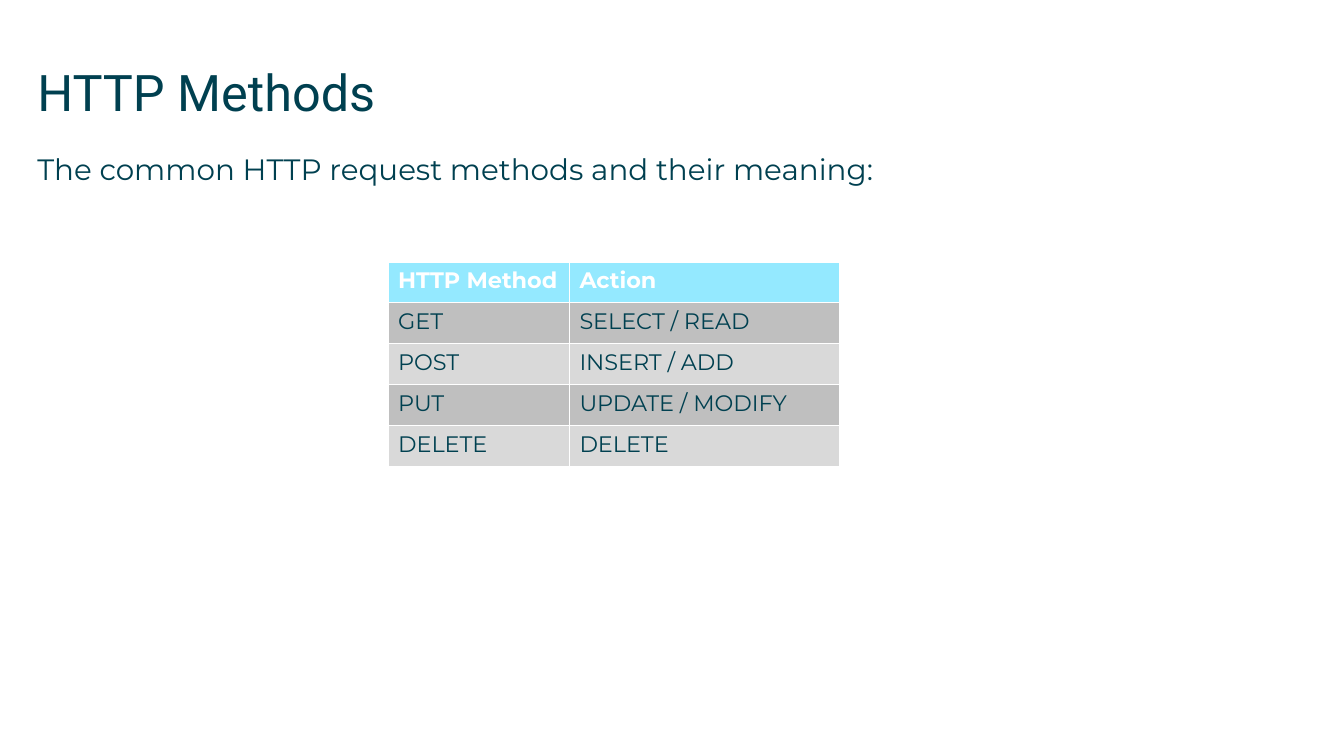
"""Build the HTTP Methods slide with its table of request methods."""
from pptx import Presentation
from pptx.dml.color import RGBColor as Rgb
from pptx.enum.text import MSO_ANCHOR as Anchor, MSO_AUTO_SIZE as AutoSize, PP_ALIGN as Align
from pptx.oxml.xmlchemy import OxmlElement as Element
from pptx.util import Cm, Pt

COLORS = {
    "ink": "004050",
    "white": "FFFFFF",
    "header": "94E9FF",
    "odd": "BFBFBF",
    "even": "D9D9D9",
}
ROWS = [
    ("HTTP Method", "Action"),
    ("GET", "SELECT / READ"),
    ("POST", "INSERT / ADD"),
    ("PUT", "UPDATE / MODIFY"),
    ("DELETE", "DELETE"),
]
COLUMN_WIDTHS = (4.57, 6.81)
ROW_HEIGHT = 1.03
FRAME_FORMAT = {
    "margin_left": 0,
    "margin_top": 0,
    "margin_right": 0,
    "margin_bottom": 0,
    "word_wrap": True,
    "auto_size": AutoSize.NONE,
    "vertical_anchor": Anchor.TOP,
}


def set_attributes(target, values):
    for name, value in values.items():
        setattr(target, name, value)


def write_text(para, text, color, **font_format):
    para.text = text
    set_attributes(para.runs[0].font, font_format)
    para.runs[0].font.color.rgb = Rgb.from_string(COLORS[color])


deck = Presentation()
set_attributes(deck, {"slide_width": Cm(33.87), "slide_height": Cm(19.05)})
page = deck.slides.add_slide(deck.slide_layouts[1])

title, body = page.placeholders
for box, top, height, text, font, size, after in (
    (title, 1.55, 2.24, "HTTP Methods", "Roboto", 36, 0),
    (body, 3.81, 13.77, "The common HTTP request methods and their meaning:", "Montserrat", 21, 6.5),
):
    set_attributes(box, {"left": Cm(0.94), "top": Cm(top), "width": Cm(32), "height": Cm(height)})
    set_attributes(box.text_frame, FRAME_FORMAT)
    para = box.text_frame.paragraphs[0]
    write_text(para, text, "ink", name=font, size=Pt(size))
    set_attributes(para, {"alignment": Align.LEFT, "space_before": Pt(0), "space_after": Pt(after)})

body_properties = body.text_frame.paragraphs[0]._p.get_or_add_pPr()
body_properties.set("marL", "0")
body_properties.set("indent", "0")
body_properties.append(Element("a:buNone"))

table = page.shapes.add_table(
    len(ROWS), len(COLUMN_WIDTHS), Cm(9.78), Cm(6.6), Cm(sum(COLUMN_WIDTHS)), Cm(ROW_HEIGHT * len(ROWS))
).table
for column, width in zip(table.columns, COLUMN_WIDTHS):
    column.width = Cm(width)

for row_index, texts in enumerate(ROWS):
    is_header = row_index == 0
    fill = "header" if is_header else "odd" if row_index % 2 else "even"
    for column_index, text in enumerate(texts):
        cell = table.cell(row_index, column_index)
        cell.fill.solid()
        cell.fill.fore_color.rgb = Rgb.from_string(COLORS[fill])
        write_text(
            cell.text_frame.paragraphs[0], text, "white" if is_header else "ink",
            name="Montserrat", size=Pt(16), bold=is_header,
        )

deck.save("out.pptx")
